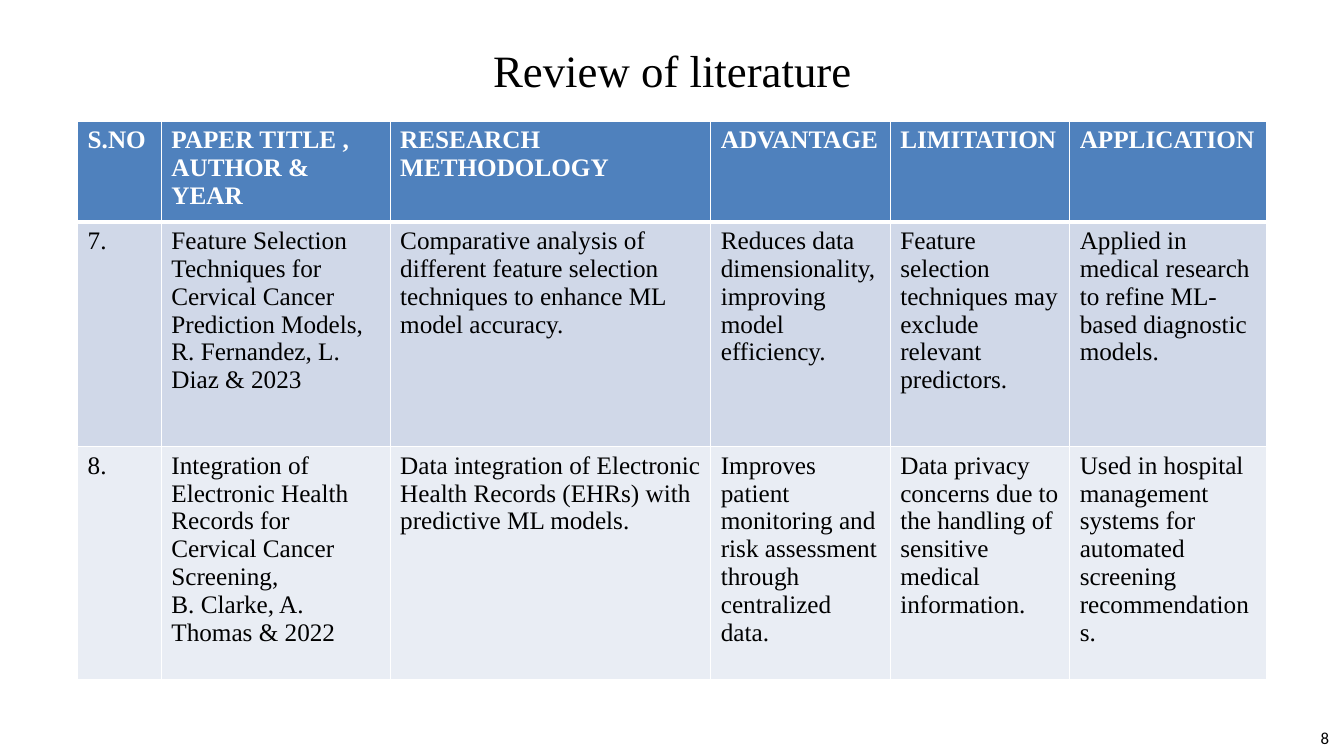
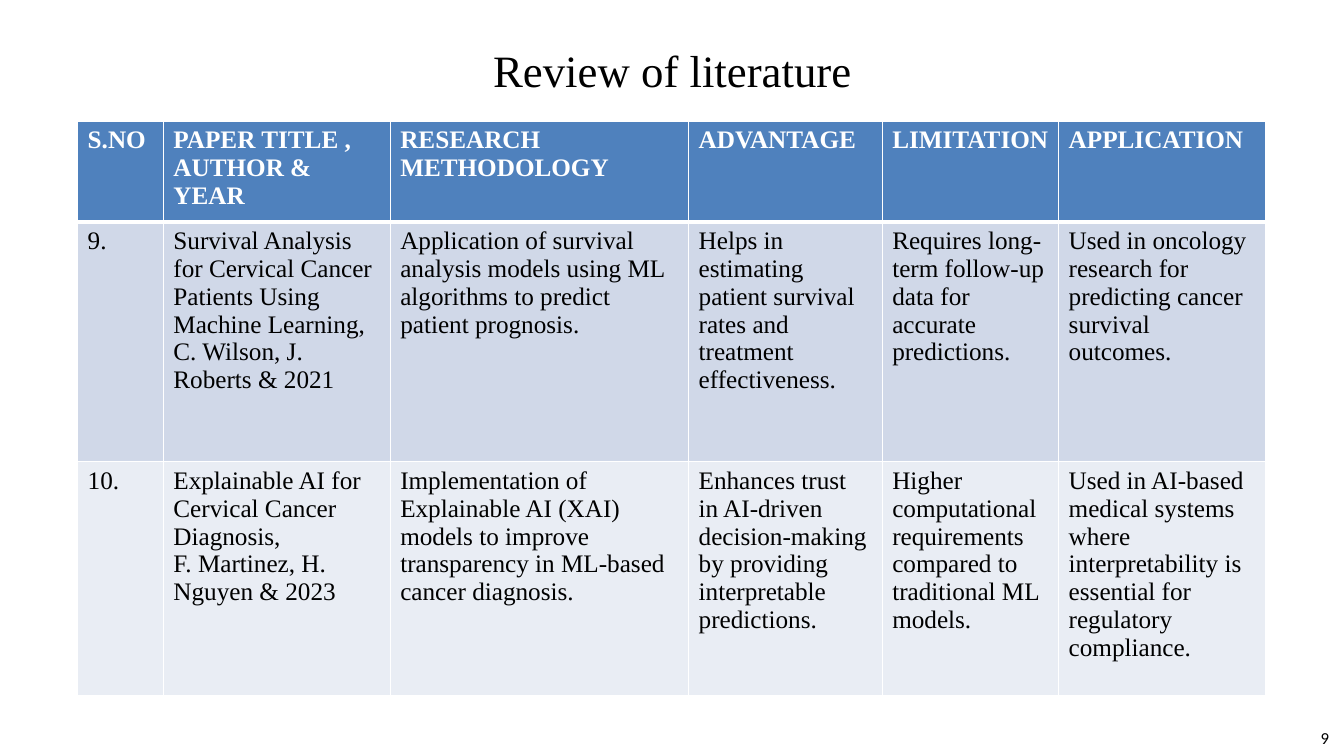
from dataclasses import dataclass

from lxml import etree
from pptx import Presentation
from pptx.dml.color import RGBColor
from pptx.enum import text
from pptx.oxml import ns
from pptx.slide import Slide
from pptx.util import Inches, Pt

WHITE = RGBColor(0xFF, 0xFF, 0xFF)
BLACK = RGBColor(0, 0, 0)
BLUE = RGBColor(0x4F, 0x81, 0xBD)
BANDS = (RGBColor(0xD0, 0xD8, 0xE8), RGBColor(0xE9, 0xED, 0xF4))
SERIF = "Times New Roman"
SANS = "Calibri"
TITLE = "Review of literature"
HEADS = ("S.NO", "PAPER TITLE , AUTHOR & YEAR", "RESEARCH METHODOLOGY",
         "ADVANTAGE", "LIMITATION", "APPLICATION")
THIN, THICK = 1, 3


@dataclass
class Paper:
    num: str
    title: str
    authors: str
    method: str
    gain: str
    limit: str
    use: str

    def cells(self) -> tuple[str, ...]:
        return (self.num, f"{self.title}\n{self.authors}", self.method,
                self.gain, self.limit, self.use)


@dataclass
class Page:
    num: int
    cols: tuple[float, ...]
    rows: tuple[float, ...]
    papers: tuple[Paper, ...]


PAGES = (
    Page(8, (0.83, 2.27, 3.18, 1.78, 1.78, 1.95), (0.92, 2.23, 2.31), (
        Paper("7.",
              "Feature Selection Techniques for Cervical Cancer Prediction Models,",
              "R. Fernandez, L. Diaz & 2023",
              "Comparative analysis of different feature selection techniques "
              "to enhance ML model accuracy.",
              "Reduces data dimensionality, improving model efficiency.",
              "Feature selection techniques may exclude relevant predictors.",
              "Applied in medical research to refine ML-based diagnostic models."),
        Paper("8.",
              "Integration of Electronic Health Records for Cervical Cancer Screening,",
              "B. Clarke, A. Thomas & 2022",
              "Data integration of Electronic Health Records (EHRs) with "
              "predictive ML models.",
              "Improves patient monitoring and risk assessment through "
              "centralized data.",
              "Data privacy concerns due to the handling of sensitive medical "
              "information.",
              "Used in hospital management systems for automated screening "
              "recommendations."),
    )),
    Page(9, (0.85, 2.25, 2.96, 1.92, 1.75, 2.05), (0.92, 2.38, 2.32), (
        Paper("9.",
              "Survival Analysis for Cervical Cancer Patients Using Machine Learning,",
              "C. Wilson, J. Roberts & 2021",
              "Application of survival analysis models using ML algorithms to "
              "predict patient prognosis.",
              "Helps in estimating patient survival rates and treatment "
              "effectiveness.",
              "Requires long-term follow-up data for accurate predictions.",
              "Used in oncology research for predicting cancer survival outcomes."),
        Paper("10.",
              "Explainable AI for Cervical Cancer Diagnosis,",
              "F. Martinez, H. Nguyen & 2023",
              "Implementation of Explainable AI (XAI) models to improve "
              "transparency in ML-based cancer diagnosis.",
              "Enhances trust in AI-driven decision-making by providing "
              "interpretable predictions.",
              "Higher computational requirements compared to traditional ML "
              "models.",
              "Used in AI-based medical systems where interpretability is "
              "essential for regulatory compliance."),
    )),
)


def style(frame, size: int, font: str, color: RGBColor, bold: bool = False) -> None:
    for par in frame.paragraphs:
        for run in par.runs:
            run.font.size = Pt(size)
            run.font.name = font
            run.font.bold = bold
            run.font.color.rgb = color


def label(slide: Slide, box: tuple[float, ...], words: str, size: int,
          font: str, align: text.PP_ALIGN):
    """Add a one-line text box and return its text frame."""
    frame = slide.shapes.add_textbox(*map(Inches, box)).text_frame
    frame.word_wrap = True
    frame.text = words
    frame.paragraphs[0].alignment = align
    style(frame, size, font, BLACK)
    return frame


def edge(cell, top: int, bottom: int) -> None:
    """Draw white borders; top and bottom are widths in points."""
    props = cell._tc.get_or_add_tcPr()
    for side, width in (("L", THIN), ("R", THIN), ("T", top), ("B", bottom)):
        line = etree.SubElement(props, ns.qn(f"a:ln{side}"), w=str(Pt(width)))
        fill = etree.SubElement(line, ns.qn("a:solidFill"))
        etree.SubElement(fill, ns.qn("a:srgbClr"), val=str(WHITE))


def grid(slide: Slide, page: Page) -> None:
    """Add the table of papers under its heading row."""
    lines = (HEADS, *(paper.cells() for paper in page.papers))
    table = slide.shapes.add_table(
        len(lines), len(HEADS), Inches(0.77), Inches(1.2),
        Inches(sum(page.cols)), Inches(sum(page.rows))).table
    for col, width in zip(table.columns, page.cols):
        col.width = Inches(width)
    for i, (row, height, line) in enumerate(zip(table.rows, page.rows, lines)):
        row.height = Inches(height)
        head = i == 0
        for cell, words in zip(row.cells, line):
            cell.text_frame.text = words
            style(cell.text_frame, 18, SERIF, WHITE if head else BLACK, head)
            edge(cell, THICK if i == 1 else THIN, THICK if head else THIN)
            cell.fill.solid()
            cell.fill.fore_color.rgb = BLUE if head else BANDS[(i - 1) % 2]


def build(deck, page: Page) -> None:
    slide = deck.slides.add_slide(deck.slide_layouts[6])
    label(slide, (11.95, 7.17, 1.33, 0.3), str(page.num), 12, SANS,
          text.PP_ALIGN.RIGHT)
    title = label(slide, (0.67, 0.25, 12, 0.62), TITLE, 32, SERIF,
                  text.PP_ALIGN.CENTER)
    title.vertical_anchor = text.MSO_ANCHOR.MIDDLE
    title.paragraphs[0].line_spacing = 1.5
    grid(slide, page)


def main() -> None:
    deck = Presentation()
    deck.slide_width, deck.slide_height = Inches(13.33), Inches(7.5)
    for page in PAGES:
        build(deck, page)
    deck.save("out.pptx")


if __name__ == "__main__":
    main()
